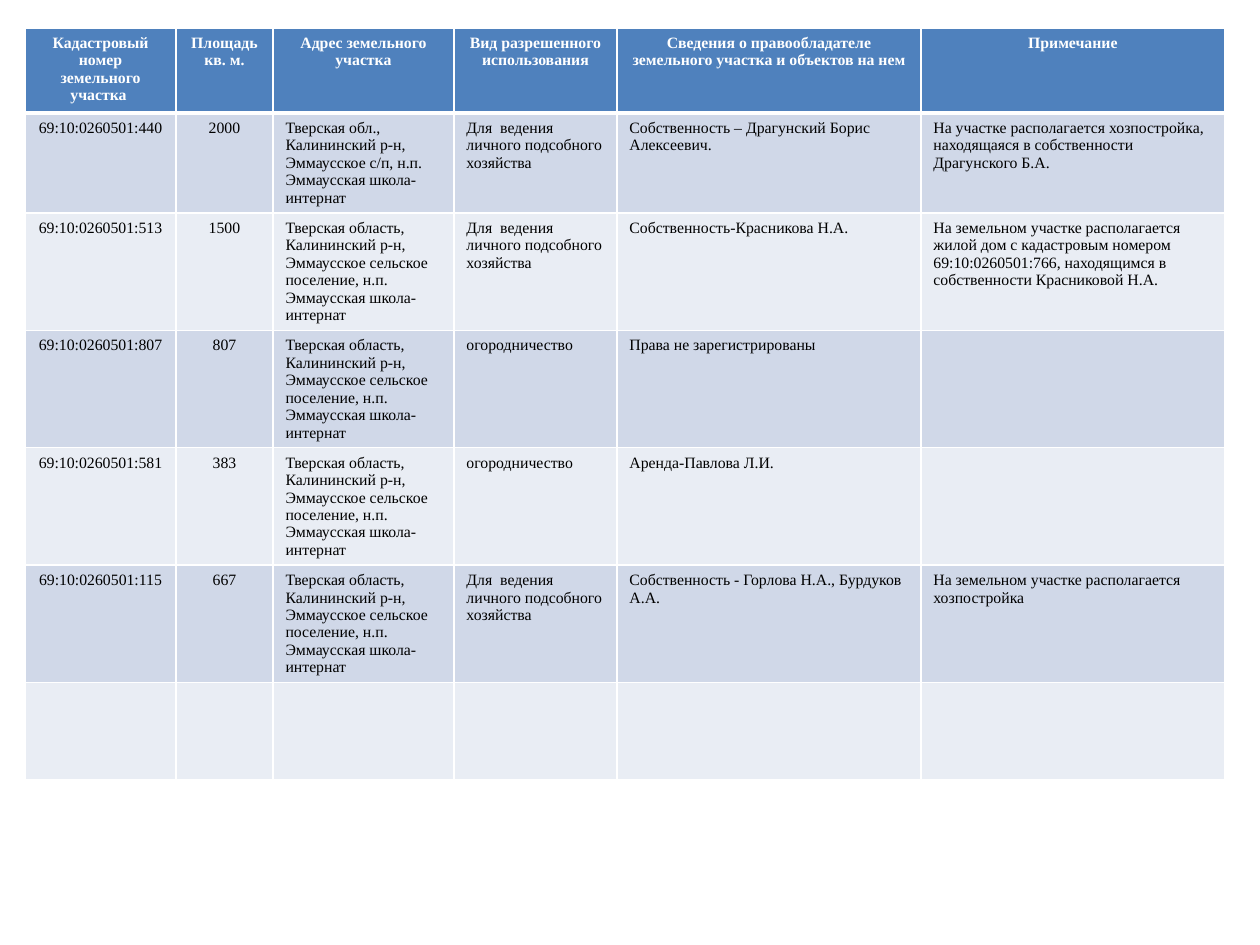
from lxml import etree
from pptx import Presentation
from pptx import util as u
from pptx.dml.color import RGBColor
from pptx.enum import text
from pptx.oxml.ns import qn

PX = 914400 // 126
FONT = "Times New Roman"
WHITE = RGBColor(0xFF, 0xFF, 0xFF)
BLACK = RGBColor(0, 0, 0)
HEADER_BLUE = RGBColor(0x4F, 0x81, 0xBD)
BANDS = (RGBColor(0xD0, 0xD8, 0xE8), RGBColor(0xE9, 0xED, 0xF4))

ADDRESS = ("Тверская область, Калининский р-н, Эммаусское сельское поселение, "
           "н.п. Эммаусская школа-интернат")
HOUSEHOLD = "Для  ведения личного подсобного хозяйства"
GARDENING = "огородничество"
ROWS = [
    ("Кадастровый номер земельного участка ", "Площадь кв. м.",
     "Адрес земельного участка", "Вид разрешенного использования",
     "Сведения о правообладателе земельного участка и объектов на нем",
     "Примечание"),
    ("69:10:0260501:440", "2000",
     "Тверская обл., Калининский р-н, Эммаусское с/п, н.п. Эммаусская школа-интернат",
     HOUSEHOLD, "Собственность – Драгунский Борис Алексеевич.",
     "На участке располагается хозпостройка, находящаяся в собственности Драгунского Б.А."),
    ("69:10:0260501:513", "1500", ADDRESS, HOUSEHOLD,
     "Собственность-Красникова Н.А.",
     "На земельном участке располагается жилой дом с кадастровым номером "
     "69:10:0260501:766, находящимся в собственности Красниковой Н.А."),
    ("69:10:0260501:807", "807", ADDRESS, GARDENING, "Права не зарегистрированы", ""),
    ("69:10:0260501:581", "383", ADDRESS, GARDENING, "Аренда-Павлова Л.И.", ""),
    ("69:10:0260501:115", "667", ADDRESS, HOUSEHOLD,
     "Собственность - Горлова Н.А., Бурдуков А.А.",
     "На земельном участке располагается хозпостройка"),
    ("",) * 6,
]
LEFT, TOP = 25, 28
COLUMN_WIDTHS = (151, 97, 181, 163, 304, 304)
ROW_HEIGHTS = (85, 100, 117, 117, 117, 117, 97)
CENTRED_COLUMNS = 2


def set_borders(cell, top, bottom):
    """Draw white cell borders; widths are in points."""
    properties = cell._tc.get_or_add_tcPr()
    widths = (("a:lnL", 1), ("a:lnR", 1), ("a:lnT", top), ("a:lnB", bottom))
    for position, (tag, width) in enumerate(widths):
        line = etree.Element(qn(tag), w=str(u.Pt(width)))
        fill = etree.SubElement(line, qn("a:solidFill"))
        etree.SubElement(fill, qn("a:srgbClr"), val=str(WHITE))
        properties.insert(position, line)


def fill_cell(cell, content, row, column):
    header = row == 0
    cell.fill.solid()
    cell.fill.fore_color.rgb = HEADER_BLUE if header else BANDS[(row - 1) % 2]
    set_borders(cell, 3 if row == 1 else 1, 3 if header else 1)
    if not content:
        return
    cell.text_frame.text = content
    para = cell.text_frame.paragraphs[0]
    centred = header or column < CENTRED_COLUMNS
    para.alignment = text.PP_ALIGN.CENTER if centred else text.PP_ALIGN.LEFT
    font = para.runs[0].font
    font.name, font.size, font.bold = FONT, u.Pt(9), header
    font.color.rgb = WHITE if header else BLACK


def main():
    deck = Presentation()
    deck.slide_width, deck.slide_height = u.Inches(10), u.Inches(7.5)
    page = deck.slides.add_slide(deck.slide_layouts[6])
    plots = page.shapes.add_table(
        len(ROWS), len(COLUMN_WIDTHS), LEFT * PX, TOP * PX,
        sum(COLUMN_WIDTHS) * PX, sum(ROW_HEIGHTS) * PX).table
    for column, width in zip(plots.columns, COLUMN_WIDTHS):
        column.width = width * PX
    for row, height in zip(plots.rows, ROW_HEIGHTS):
        row.height = height * PX
    for r, contents in enumerate(ROWS):
        for c, content in enumerate(contents):
            fill_cell(plots.cell(r, c), content, r, c)
    deck.save("out.pptx")


if __name__ == "__main__":
    main()
